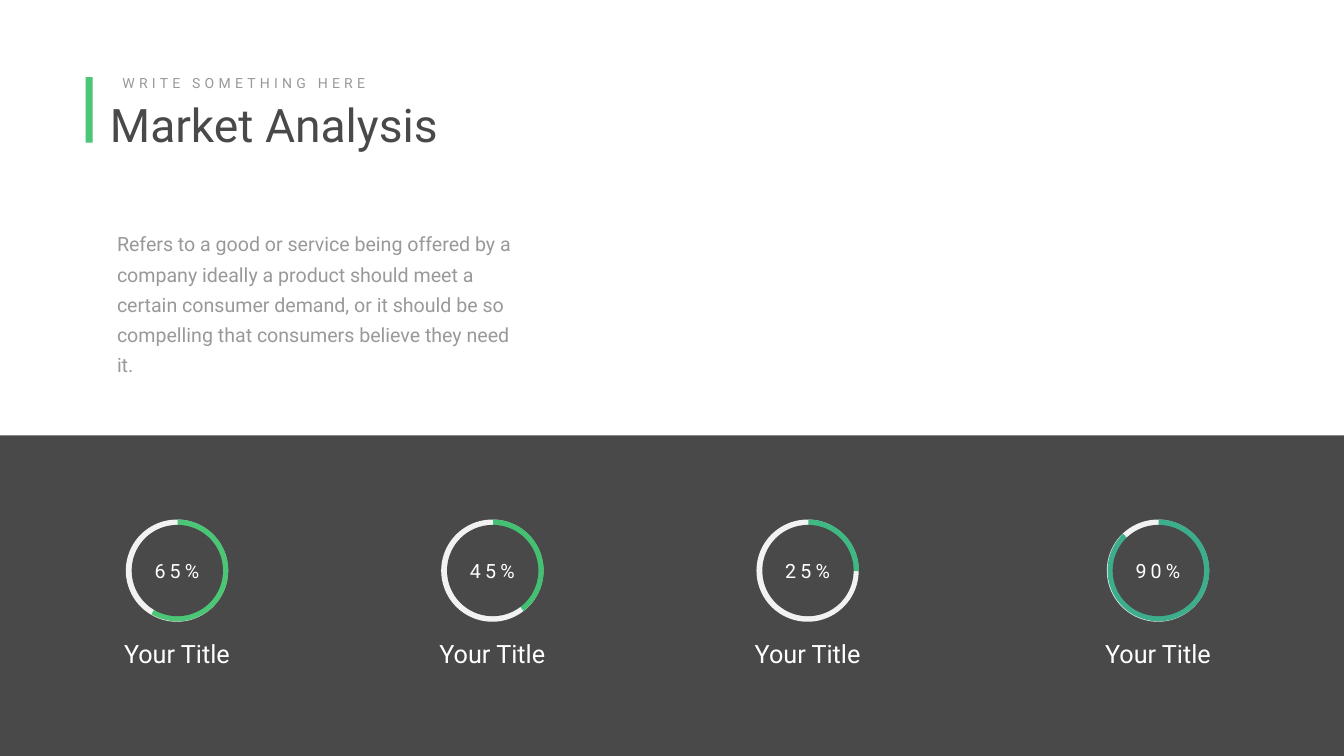
from dataclasses import dataclass

from pptx import Presentation
from pptx.dml.color import RGBColor
from pptx.enum.shapes import MSO_SHAPE
from pptx.enum.text import MSO_ANCHOR, MSO_AUTO_SIZE, PP_ALIGN
from pptx.util import Pt


@dataclass(frozen=True)
class Theme:
    font: str = "Roboto"
    dark: str = "494949"
    grey: str = "999999"
    white: str = "FFFFFF"
    track: str = "F2F2F2"
    green: str = "4BC676"
    head: float = 66
    name: float = 36
    body: float = 28
    kicker: float = 20
    track_gap: float = 6


THEME = Theme()
WIDTH, HEIGHT = 1919.5, 1080
TOP = 270.32  # angle in degrees where each arc starts

# left edge, share, end angle of the arc, arc colour
RINGS = [
    (103.7, "65%", 120.69, THEME.green),
    (554.1, "45%", 52.88, "43C072"),
    (1004.4, "25%", 0.94, "40B884"),
    (1504.8, "90%", 226.07, "3CAE8C"),
]


def place(shape, box):
    shape.left, shape.top, shape.width, shape.height = map(Pt, box)


def paint(slide, kind, box, color):
    shape = slide.shapes.add_shape(kind, *map(Pt, box))
    shape.shadow.inherit = False
    shape.fill.solid()
    shape.fill.fore_color.rgb = RGBColor.from_string(color)
    shape.line.fill.background()
    return shape


def write(shape, text, size, color, align=PP_ALIGN.LEFT, gap=0, wrap=True):
    """Fill a text shape with one run; gap is the letter spacing in points."""
    frame = shape.text_frame
    frame.word_wrap = wrap
    frame.auto_size = MSO_AUTO_SIZE.NONE
    frame.vertical_anchor = MSO_ANCHOR.TOP
    para = frame.paragraphs[0]
    para.alignment = align
    run = para.add_run()
    run.text = text
    run.font.name = THEME.font
    run.font.size = Pt(size)
    run.font.color.rgb = RGBColor.from_string(color)
    if gap:
        run.font._element.set("spc", str(int(gap * 100)))
    return frame


def label(slide, box, *args, **opts):
    return write(slide.shapes.add_textbox(*map(Pt, box)), *args, **opts)


def header(slide, x, y, w):
    title = slide.shapes.title
    place(title, (x + 27.4, y + 31.7, w - 27.4, 87.1))
    write(title, "Market Analysis", THEME.head, THEME.dark)
    label(slide, (x + 45.4, y, 429, 31.7), "WRITE SOMETHING HERE",
          THEME.kicker, THEME.grey, gap=THEME.track_gap)
    paint(slide, MSO_SHAPE.RECTANGLE, (x, y + 8, 10, 93.6), THEME.green)


def intro(slide, box):
    frame = label(
        slide, box,
        "Refers to a good or service being offered by a company ideally "
        "a product should meet a certain consumer demand, or it should be "
        "so compelling that consumers believe they need it.",
        THEME.body, THEME.grey)
    frame.margin_left = frame.margin_right = Pt(17.3)
    frame.margin_top = frame.margin_bottom = Pt(8.6)
    frame.paragraphs[0].line_spacing = Pt(43)


def ring(slide, x, y, w, share, end, color):
    """Draw a track, its arc, the hole, the share and a title below."""
    size = 146
    left = x + (w - size) / 2
    paint(slide, MSO_SHAPE.OVAL, (left, y, size, size), THEME.track)
    arc = paint(slide, MSO_SHAPE.PIE, (left + 1, y, 145.4, 145.4), color)
    for i, angle in enumerate((TOP, end)):
        arc.adjustments[i] = angle * 0.6
    paint(slide, MSO_SHAPE.OVAL, (left + 8.4, y + 7.7, 130.4, 130.4),
          THEME.dark)
    label(slide, (left + 30, y + 52, 86, 41), share, THEME.body, THEME.white,
          align=PP_ALIGN.CENTER, gap=THEME.track_gap, wrap=False)
    label(slide, (x, y + 166.3, w, 51), "Your Title", THEME.name, THEME.white,
          align=PP_ALIGN.CENTER)


def band(slide, x, y, w, h):
    paint(slide, MSO_SHAPE.RECTANGLE, (x, y, w, h), THEME.dark)
    for left, share, end, color in RINGS:
        ring(slide, x + left, y + 120.2, 298, share, end, color)


def main():
    deck = Presentation()
    deck.slide_width, deck.slide_height = Pt(WIDTH), Pt(HEIGHT)
    slide = deck.slides.add_slide(deck.slide_layouts[5])
    header(slide, 122.4, 102.2, 623.5)
    band(slide, 0, 622, WIDTH, HEIGHT - 622)
    intro(slide, (149.8, 313.9, 618.5, 187.2))
    deck.save("out.pptx")


if __name__ == "__main__":
    main()
